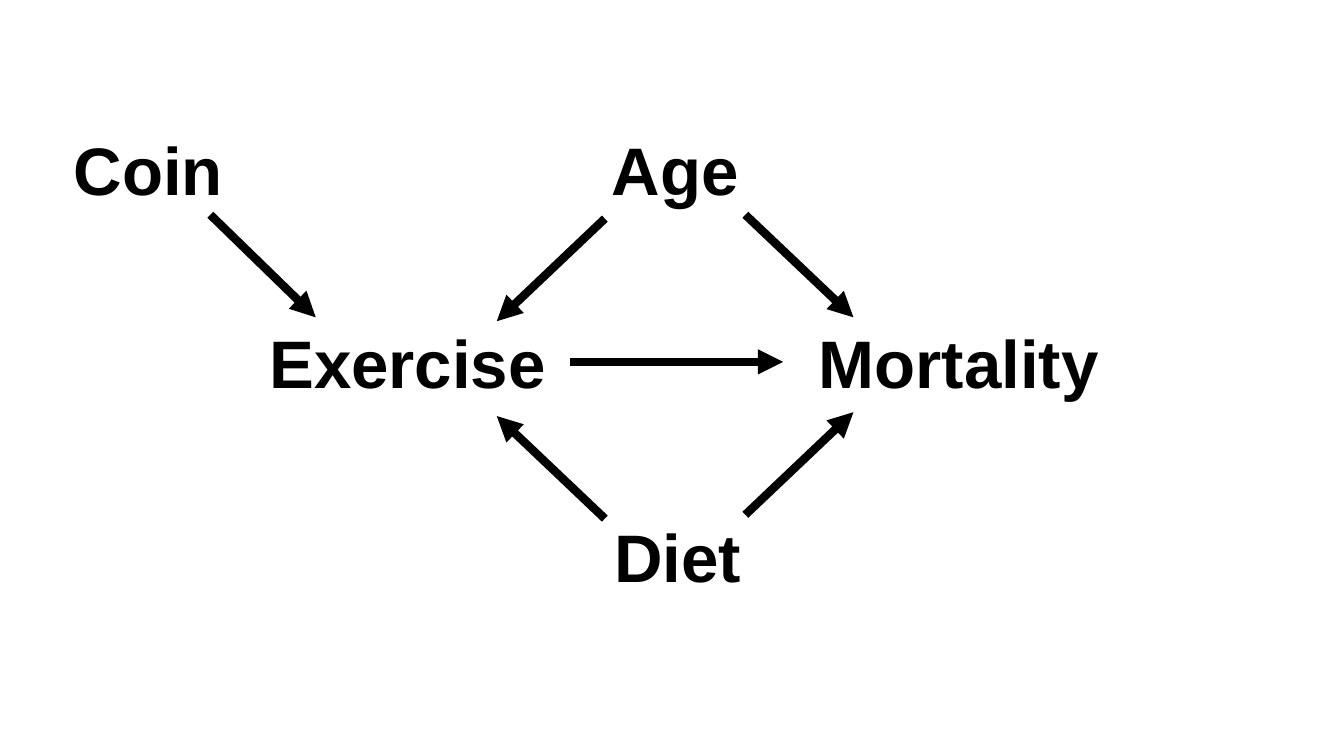
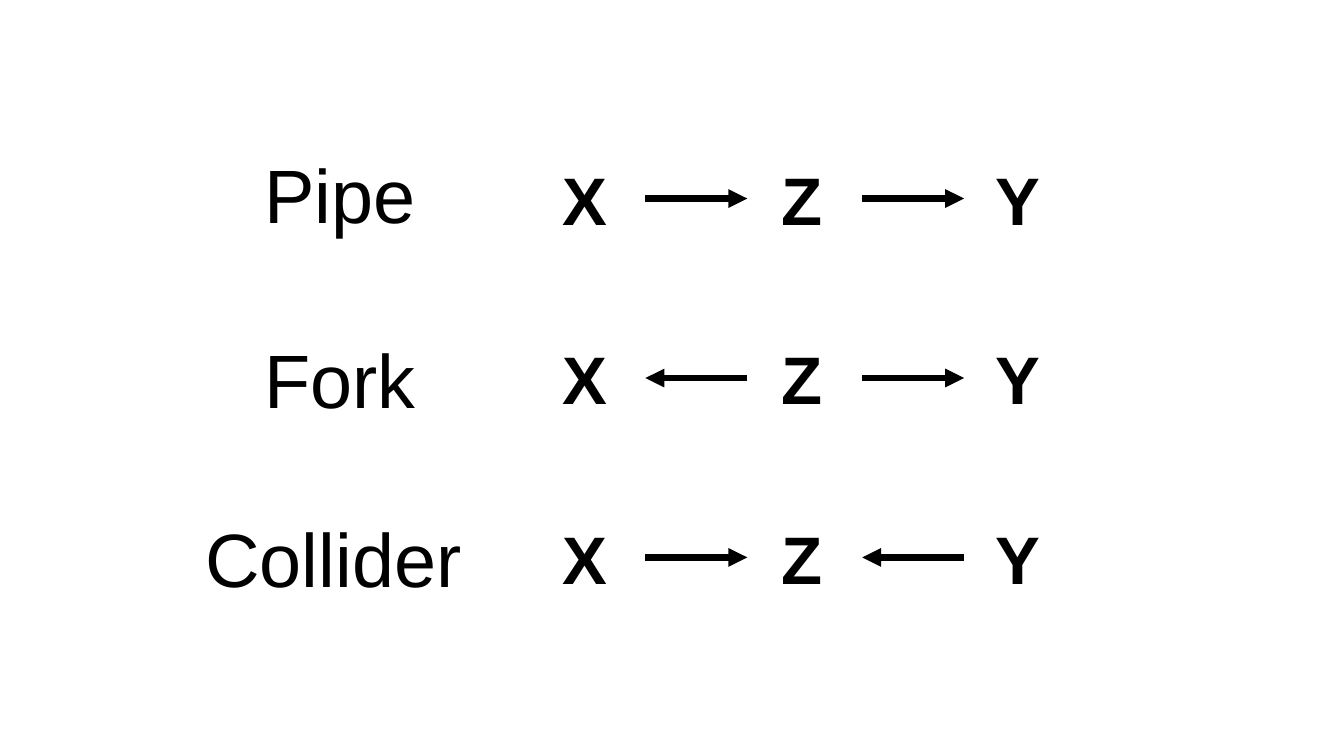
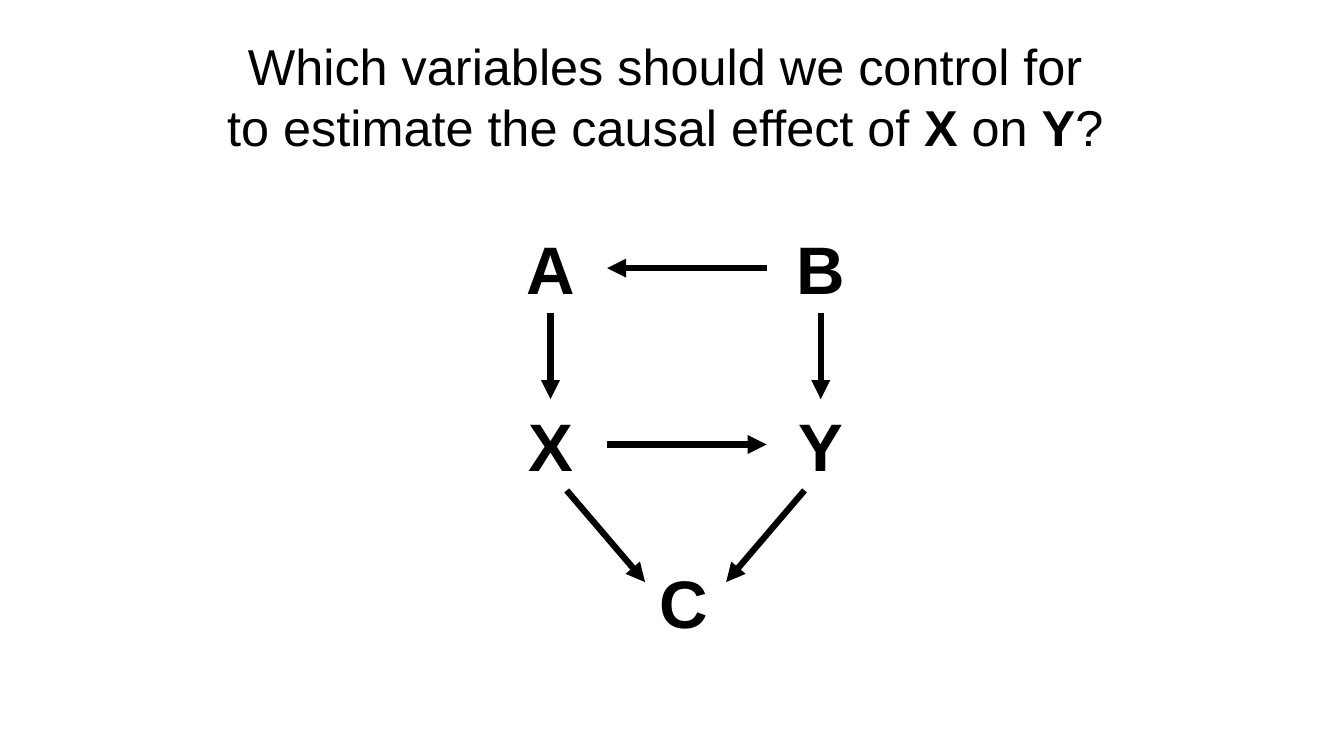
from dataclasses import dataclass

from lxml.etree import SubElement
from pptx import Presentation
from pptx.dml.color import RGBColor
from pptx.enum.shapes import MSO_CONNECTOR
from pptx.enum.text import MSO_ANCHOR, MSO_AUTO_SIZE, PP_ALIGN
from pptx.oxml.ns import qn
from pptx.util import Inches, Pt


@dataclass(frozen=True)
class Theme:
    font: str = "Arial"
    ink: RGBColor = RGBColor(0, 0, 0)
    title: int = 36
    node: int = 48
    label: int = 54
    thin: float = 4.5
    thick: float = 6


@dataclass(frozen=True)
class Grid:
    left: float
    top: float
    col: float
    row: float

    def at(self, col, row):
        return Inches(self.left + col * self.col), Inches(self.top + row * self.row)


THEME = Theme()
BOTTOM, TOP = 2, 0
TITLE_ONLY, BLANK = 5, 6


def set_font(p, size, bold=False):
    p.alignment = PP_ALIGN.CENTER
    p.font.name = THEME.font
    p.font.size = Pt(size)
    p.font.bold = bold
    p.font.color.rgb = THEME.ink


def add_word(slide, grid, text, col, row, cols, size=THEME.node, bold=True):
    x, y = grid.at(col, row)
    w, h = Inches(cols * grid.col), Pt(size * 1.2) + Inches(0.1)
    sp = slide.shapes.add_textbox(x - w // 2, y - h // 2, w, h)
    tf = sp.text_frame
    tf.word_wrap = False
    tf.auto_size = MSO_AUTO_SIZE.SHAPE_TO_FIT_TEXT
    p = tf.paragraphs[0]
    p.text = text
    set_font(p, size, bold)
    return sp


def add_arrow(slide, grid, start, end, width=THEME.thin):
    cxn = slide.shapes.add_connector(
        MSO_CONNECTOR.STRAIGHT, *grid.at(*start), *grid.at(*end))
    cxn.line.color.rgb = THEME.ink
    cxn.line.width = Pt(width)
    SubElement(cxn.line._get_or_add_ln(), qn("a:tailEnd"), type="triangle")
    SubElement(cxn._element.spPr, qn("a:effectLst"))
    return cxn


def add_title(prs, slide, runs):
    sp = slide.shapes.title
    sp.left, sp.width = int(prs.slide_width * 0.16), int(prs.slide_width * 0.67)
    sp.top, sp.height = int(prs.slide_height * 0.04), int(prs.slide_height * 0.17)
    tf = sp.text_frame
    tf.word_wrap = True
    tf.auto_size = MSO_AUTO_SIZE.NONE
    tf.vertical_anchor = MSO_ANCHOR.TOP
    p = tf.paragraphs[0]
    set_font(p, THEME.title)
    for text, bold in runs:
        r = p.add_run()
        r.text = text
        r.font.bold = bold


def exercise_slide(prs, grid):
    slide = prs.slides.add_slide(prs.slide_layouts[BLANK])
    for word in (("Coin", 0, 0, 0.63), ("Age", 1.95, 0, 0.55),
                 ("Exercise", 0.96, 1, 1.11), ("Mortality", 3, 1, 1.12),
                 ("Diet", 1.96, 2, 0.55)):
        add_word(slide, grid, *word)
    for start, end in (((0.23, 0.24), (0.62, 0.77)),
                       ((2.21, 0.24), (2.61, 0.77)),
                       ((1.69, 0.26), (1.29, 0.79)),
                       ((1.56, 1), (2.35, 1)),
                       ((2.21, 1.79), (2.61, 1.26)),
                       ((1.69, 1.81), (1.29, 1.28))):
        add_arrow(slide, grid, start, end, THEME.thick)


def paths_slide(prs, grid):
    slide = prs.slides.add_slide(prs.slide_layouts[BLANK])
    rows = (("Pipe", -1.13, -0.03, 0.8, "→→"),
            ("Fork", -1.13, 0, 0.8, "←→"),
            ("Collider", -1.16, 0, 1.29, "→←"))
    for row, (label, col, shift, cols, directions) in enumerate(rows):
        add_word(slide, grid, label, col, row + shift, cols, THEME.label, False)
        for i, letter in enumerate("XZY"):
            add_word(slide, grid, letter, i, row, 0.3)
        for i, direction in enumerate(directions):
            ends = [(i + 0.28, row), (i + 0.75, row)]
            if direction == "←":
                ends.reverse()
            add_arrow(slide, grid, *ends)


def control_slide(prs, grid):
    slide = prs.slides.add_slide(prs.slide_layouts[TITLE_ONLY])
    add_title(prs, slide, (
        ("Which variables should we control for to estimate the causal effect of ", False),
        ("X", True), (" on ", False), ("Y", True), ("?", False)))
    places = {"A": (0, 0), "B": (1, 0), "X": (0, 1), "Y": (1, 1), "C": (0.49, 1.89)}
    nodes = {name: add_word(slide, grid, name, *place, 0.25)
             for name, place in places.items()}
    for upper, lower in ("AX", "BY"):
        cxn = add_arrow(slide, grid, places[upper], places[lower])
        cxn.begin_connect(nodes[upper], BOTTOM)
        cxn.end_connect(nodes[lower], TOP)
    for start, end in (((0.8, 0), (0.21, 0)),
                       ((0.21, 1), (0.8, 1)),
                       ((0.06, 1.26), (0.35, 1.78)),
                       ((0.94, 1.26), (0.65, 1.78))):
        add_arrow(slide, grid, start, end)


def main():
    prs = Presentation()
    prs.slide_width, prs.slide_height = Inches(13.33), Inches(7.5)
    exercise_slide(prs, Grid(1.47, 1.67, 2.68, 1.92))
    paths_slide(prs, Grid(5.8, 1.97, 2.15, 1.78))
    control_slide(prs, Grid(5.46, 2.66, 2.68, 1.75))
    prs.save("out.pptx")


if __name__ == "__main__":
    main()
